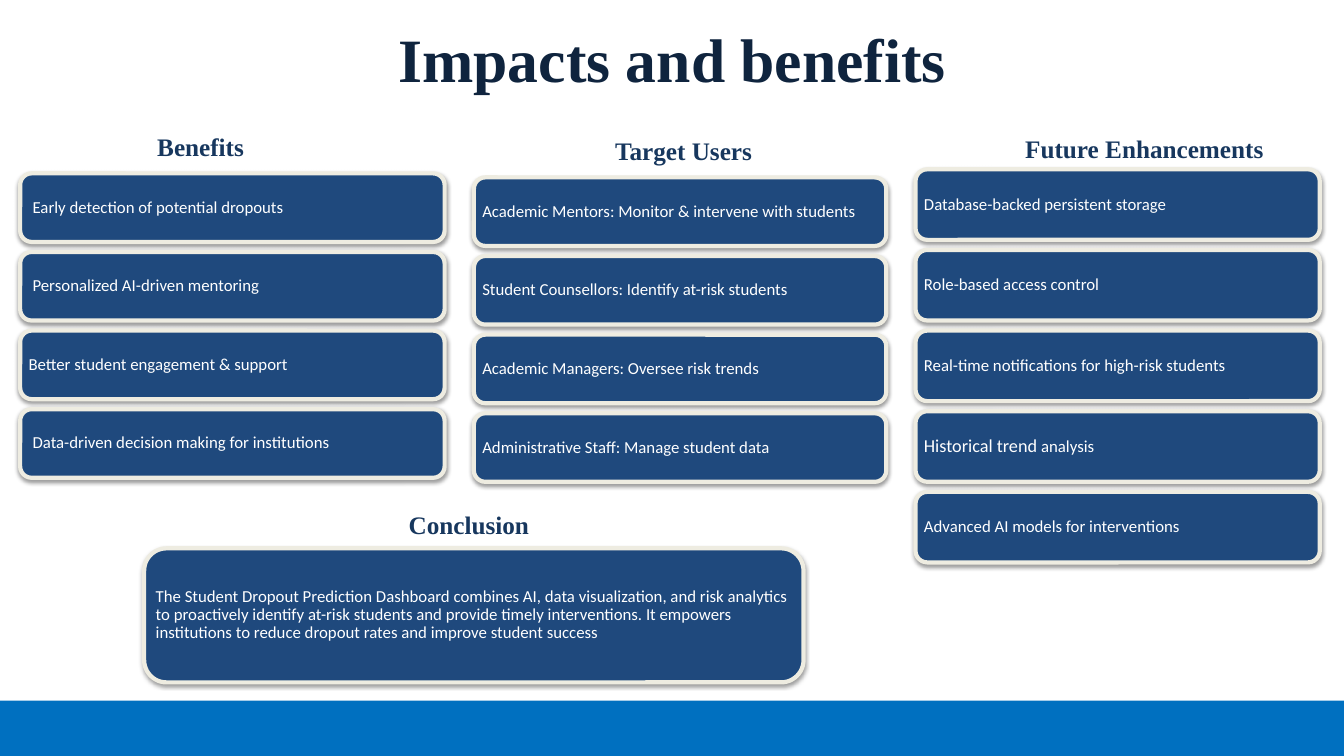
from pptx import Presentation
from pptx.dml.color import RGBColor
from pptx.enum.shapes import MSO_SHAPE
from pptx.enum.text import MSO_ANCHOR, PP_ALIGN
from pptx.oxml import parse_xml
from pptx.oxml.ns import nsdecls
from pptx.util import Inches, Pt

RECTANGLE, ROUNDED = MSO_SHAPE.RECTANGLE, MSO_SHAPE.ROUNDED_RECTANGLE
TOP, MIDDLE = MSO_ANCHOR.TOP, MSO_ANCHOR.MIDDLE
LEFT, CENTER = PP_ALIGN.LEFT, PP_ALIGN.CENTER

# Content
SLIDE_WIDTH, SLIDE_HEIGHT = 13.33, 7.5
SERIF, SANS = "Times New Roman", "Calibri"
TITLE = "Impacts and benefits"
CONCLUSION = (
    "The Student Dropout Prediction Dashboard combines AI, data visualization, "
    "and risk analytics to proactively identify at-risk students and provide "
    "timely interventions. It empowers institutions to reduce dropout rates "
    "and improve student success"
)
PADDING, INDENTED = 0.05, 0.09

# Each item: left padding, then runs of (text, size)
COLUMNS = [
    {"heading": "Future Enhancements", "center": 11.35, "heading_top": 1.27,
     "left": 9.08, "top": 1.68, "width": 4.01, "height": 0.7, "pitch": 0.8,
     "items": [
         (PADDING, [("Database-backed persistent storage", 12)]),
         (PADDING, [("Role-based access control", 12)]),
         (PADDING, [("Real-time notifications for high-risk students", 12)]),
         (PADDING, [("Historical trend ", 13), ("analysis", 12)]),
         (PADDING, [("Advanced AI models for interventions", 12)]),
     ]},
    {"heading": "Target Users", "center": 6.78, "heading_top": 1.29,
     "left": 4.7, "top": 1.76, "width": 4.09, "height": 0.68, "pitch": 0.78,
     "items": [
         (PADDING, [("Academic Mentors: Monitor & intervene with students", 12)]),
         (PADDING, [("Student Counsellors: Identify at-risk students", 12)]),
         (PADDING, [("Academic Managers: Oversee risk trends", 12)]),
         (PADDING, [("Administrative Staff: Manage student data", 12)]),
     ]},
    {"heading": "Benefits", "center": 1.99, "heading_top": 1.25,
     "left": 0.2, "top": 1.72, "width": 4.21, "height": 0.68, "pitch": 0.78,
     "items": [
         (INDENTED, [("Early detection of potential dropouts", 12)]),
         (INDENTED, [("Personalized AI-driven mentoring", 12)]),
         (PADDING, [("Better student engagement & support", 12)]),
         (INDENTED, [("Data-driven decision making for institutions", 12)]),
     ]},
    {"heading": "Conclusion", "center": 4.65, "heading_top": 5.0,
     "left": 1.43, "top": 5.44, "width": 6.54, "height": 1.33, "pitch": 0,
     "items": [(PADDING, [(CONCLUSION, 12)])]},
]


def color(value):
    return RGBColor.from_string(value)


def write(box, runs, font, ink, bold, align, anchor):
    frame = box.text_frame
    frame.word_wrap = True
    frame.vertical_anchor = anchor
    para = frame.paragraphs[0]
    para.alignment = align
    for text, size in runs:
        span = para.add_run()
        span.text = text
        span.font.name = font
        span.font.size = Pt(size)
        span.font.bold = bold
        span.font.color.rgb = color(ink)
    return para


def add_heading(page, text, area, size, ink, anchor):
    box = page.shapes.add_textbox(*map(Inches, area))
    write(box, [(text, size)], SERIF, ink, True, CENTER, anchor)


def add_panel(page, kind, area, fill, shade, opacity, blur, distance):
    panel = page.shapes.add_shape(kind, *map(Inches, area))
    panel.fill.solid()
    panel.fill.fore_color.rgb = color(fill)
    panel.line.fill.background()
    panel.shadow.inherit = False
    effects = panel.element.spPr.find(
        "{http://schemas.openxmlformats.org/drawingml/2006/main}effectLst")
    effects.append(parse_xml(
        f'<a:outerShdw {nsdecls("a")} blurRad="{Pt(blur)}" dist="{Pt(distance)}" '
        f'dir="5400000" rotWithShape="0"><a:srgbClr val="{shade}">'
        f'<a:alpha val="{opacity * 1000}"/></a:srgbClr></a:outerShdw>'))
    return panel


def add_card(page, area, padding, runs):
    card = add_panel(page, ROUNDED, area, "1F497D", "000000", 38, 3.1, 1.6)
    card.line.color.rgb = color("EEECE1")
    card.line.width = Pt(3)
    frame = card.text_frame
    frame.margin_left = Inches(padding)
    frame.margin_right = frame.margin_top = frame.margin_bottom = Inches(PADDING)
    para = write(card, runs, SANS, "FFFFFF", False, LEFT, MIDDLE)
    para.line_spacing = 0.9


def main():
    deck = Presentation()
    deck.slide_width, deck.slide_height = Inches(SLIDE_WIDTH), Inches(SLIDE_HEIGHT)
    page = deck.slides.add_slide(deck.slide_layouts[6])

    # Footer band and title
    band = 0.55
    add_panel(page, RECTANGLE, (0, SLIDE_HEIGHT - band, SLIDE_WIDTH, band),
              "0070C0", "808080", 35, 0, 1.8)
    add_heading(page, TITLE, (0.67, -0.05, 12, 1.25), 44, "0F243E", MIDDLE)

    # Headed stacks of cards
    heading_width = 3.3
    for column in COLUMNS:
        for row, (padding, runs) in enumerate(column["items"]):
            top = column["top"] + row * column["pitch"]
            area = (column["left"], top, column["width"], column["height"])
            add_card(page, area, padding, runs)
        area = (column["center"] - heading_width / 2, column["heading_top"],
                heading_width, 0.4)
        add_heading(page, column["heading"], area, 18, "17375E", TOP)

    deck.save("out.pptx")


if __name__ == "__main__":
    main()
